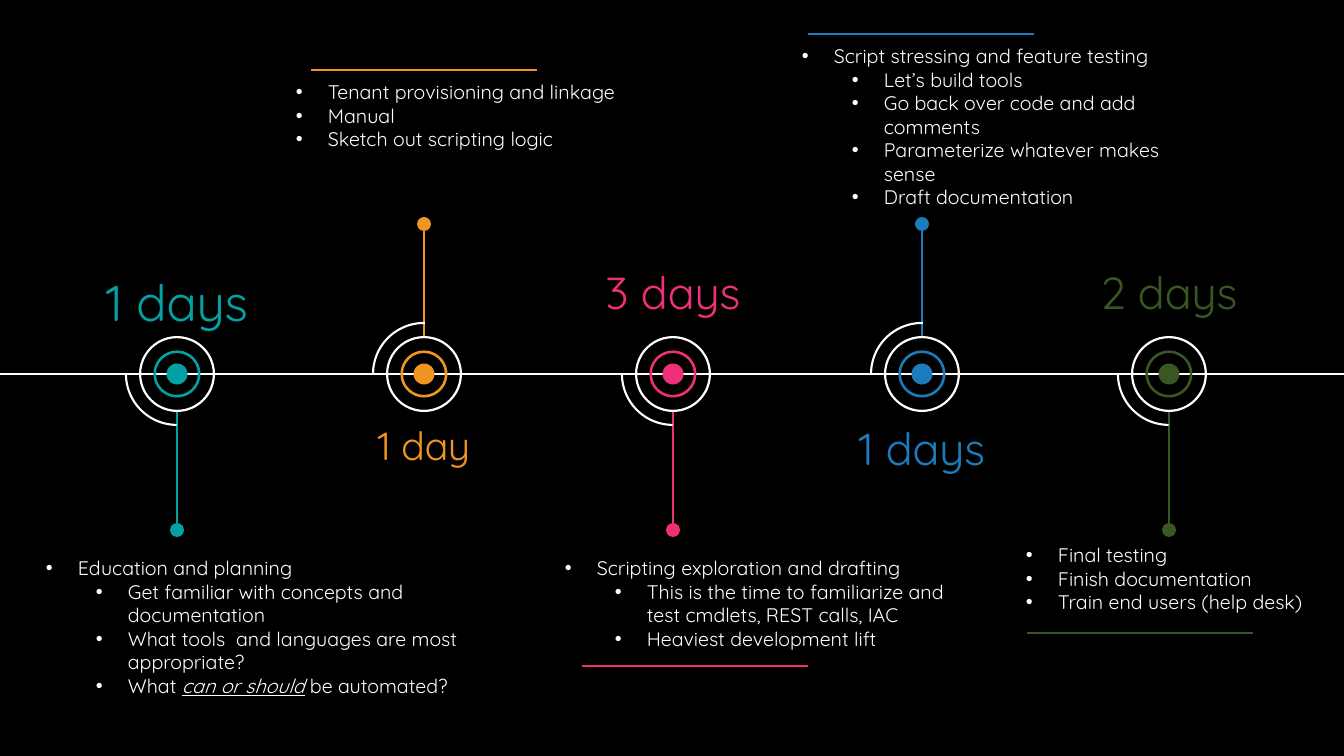
from dataclasses import dataclass
from itertools import pairwise

from lxml.etree import SubElement
from pptx import Presentation
from pptx.dml.color import RGBColor
from pptx.enum.shapes import MSO_CONNECTOR, MSO_SHAPE
from pptx.enum.text import MSO_AUTO_SIZE, PP_ALIGN
from pptx.oxml.ns import qn
from pptx.util import Emu, Pt


@dataclass(frozen=True)
class Theme:
    font: str = "Quicksand"
    background: str = "000000"
    ink: str = "FFFFFF"
    teal: str = "03A1A4"
    orange: str = "EE9524"
    pink: str = "EF3078"
    blue: str = "1C7CBB"
    green: str = "385723"
    body_size: int = 14
    small_label: int = 28
    label: int = 32
    large_label: int = 36
    line_width: float = 1.5


theme = Theme()
SCALE = 914400 / 100.8
WIDTH, HEIGHT, AXIS = 1344, 756, 374
RULE_LENGTH = 226
BULLET_HANG, LEVEL_STEP = 32, 50

# Each milestone: centre, direction of its stem (1 down, -1 up), colour,
# duration as (text, size, top, width), list box, rule start, (level, item)
# pairs; asterisks enclose emphasised words.
milestones = [
    (177, 1, theme.teal, ("1 days", theme.large_label, 266, 204),
     (36, 551, 485, 176), None,
     [(0, "Education and planning"),
      (1, "Get familiar with concepts and documentation"),
      (1, "What tools  and languages are most appropriate?"),
      (1, "What *can or should* be automated?")]),
    (424, -1, theme.orange, ("1 day", theme.small_label, 416, 167),
     (286, 75, 353, 129), (311, 70),
     [(0, "Tenant provisioning and linkage"),
      (0, "Manual"),
      (0, "Sketch out scripting logic")]),
    (673, 1, theme.pink, ("3 days", theme.label, 260, 167),
     (555, 551, 417, 129), (582, 666),
     [(0, "Scripting exploration and drafting"),
      (1, "This is the time to familiarize and test cmdlets, REST calls, IAC"),
      (1, "Heaviest development lift")]),
    (922, -1, theme.blue, ("1 days", theme.label, 416, 167),
     (792, 39, 400, 201), (808, 34),
     [(0, "Script stressing and feature testing"),
      (1, "Let’s build tools"),
      (1, "Go back over code and add comments"),
      (1, "Parameterize whatever makes sense"),
      (1, "Draft documentation")]),
    (1169, 1, theme.green, ("2 days", theme.label, 260, 167),
     (1016, 538, 353, 105), (1027, 633),
     [(0, "Final testing"),
      (0, "Finish documentation"),
      (0, "Train end users (help desk)")]),
]

deck = Presentation()
deck.slide_width, deck.slide_height = Emu(round(WIDTH * SCALE)), Emu(round(HEIGHT * SCALE))
slide = deck.slides.add_slide(deck.slide_layouts[6])
slide.background.fill.solid()
slide.background.fill.fore_color.rgb = RGBColor.from_string(theme.background)


def px(*lengths):
    """Turn pixel lengths into EMU."""
    return [Emu(round(length * SCALE)) for length in lengths]


def draw_line(x1, y1, x2, y2, color):
    """Draw a straight line without a shadow."""
    line = slide.shapes.add_connector(MSO_CONNECTOR.STRAIGHT, *px(x1, y1, x2, y2))
    line.line.color.rgb = RGBColor.from_string(color)
    line.line.width = Pt(theme.line_width)
    SubElement(line._element.spPr, qn("a:effectLst"))


centres = [milestone[0] for milestone in milestones]
for start, end in pairwise([0, *centres, WIDTH]):
    draw_line(start, AXIS, end, AXIS, theme.ink)

for centre, side, color, duration, list_box, rule, items in milestones:
    # Marker, from the outer arc to the dot at the end of the stem
    stem_end = AXIS + 3 + side * 153
    draw_line(centre, AXIS + side * 38, centre, AXIS + side * 152, color)
    for preset, middle, size, adjustments, fill in [
        (MSO_SHAPE.ARC, AXIS, 102, (54.2, 108.53), None),
        (MSO_SHAPE.OVAL, AXIS, 21, (), color),
        (MSO_SHAPE.DONUT, AXIS, 47, (0.053,), color),
        (MSO_SHAPE.DONUT, AXIS, 76, (0.029,), theme.ink),
        (MSO_SHAPE.OVAL, stem_end, 14, (), color),
    ]:
        part = slide.shapes.add_shape(
            preset, *px(centre - size / 2, middle - size / 2, size, size))
        part.shadow.inherit = False
        for index, value in enumerate(adjustments):
            part.adjustments[index] = value
        if fill:
            part.fill.solid()
            part.fill.fore_color.rgb = RGBColor.from_string(fill)
            part.line.fill.background()
        else:
            part.fill.background()
            part.line.color.rgb = RGBColor.from_string(theme.ink)
            part.line.width = Pt(theme.line_width)
            part.rotation = 0 if side > 0 else 90

    # Duration and tasks
    wording, label_size, top, width = duration
    label_box = (centre - width / 2, top, width, 2 * label_size)
    for box, entries, size, ink, bulleted in [
        (label_box, [(0, wording)], label_size, color, False),
        (list_box, items, theme.body_size, theme.ink, True),
    ]:
        frame = slide.shapes.add_textbox(*px(*box)).text_frame
        frame.word_wrap = True
        frame.auto_size = MSO_AUTO_SIZE.SHAPE_TO_FIT_TEXT
        for number, (level, entry) in enumerate(entries):
            paragraph = frame.add_paragraph() if number else frame.paragraphs[0]
            paragraph.level = level
            if bulleted:
                indent, hang = px(BULLET_HANG + level * LEVEL_STEP, -BULLET_HANG)
                properties = paragraph._p.get_or_add_pPr()
                properties.set("marL", str(indent))
                properties.set("indent", str(hang))
                SubElement(properties, qn("a:buFont"), typeface="Arial")
                SubElement(properties, qn("a:buChar"), char="•")
            else:
                paragraph.alignment = PP_ALIGN.CENTER
            for position, piece in enumerate(entry.split("*")):
                run = paragraph.add_run()
                run.text = piece
                run.font.name = theme.font
                run.font.size = Pt(size)
                run.font.color.rgb = RGBColor.from_string(ink)
                if position % 2:
                    run.font.italic = run.font.underline = True

    if rule:
        left, height = rule
        draw_line(left, height, left + RULE_LENGTH, height, color)

deck.save("out.pptx")
